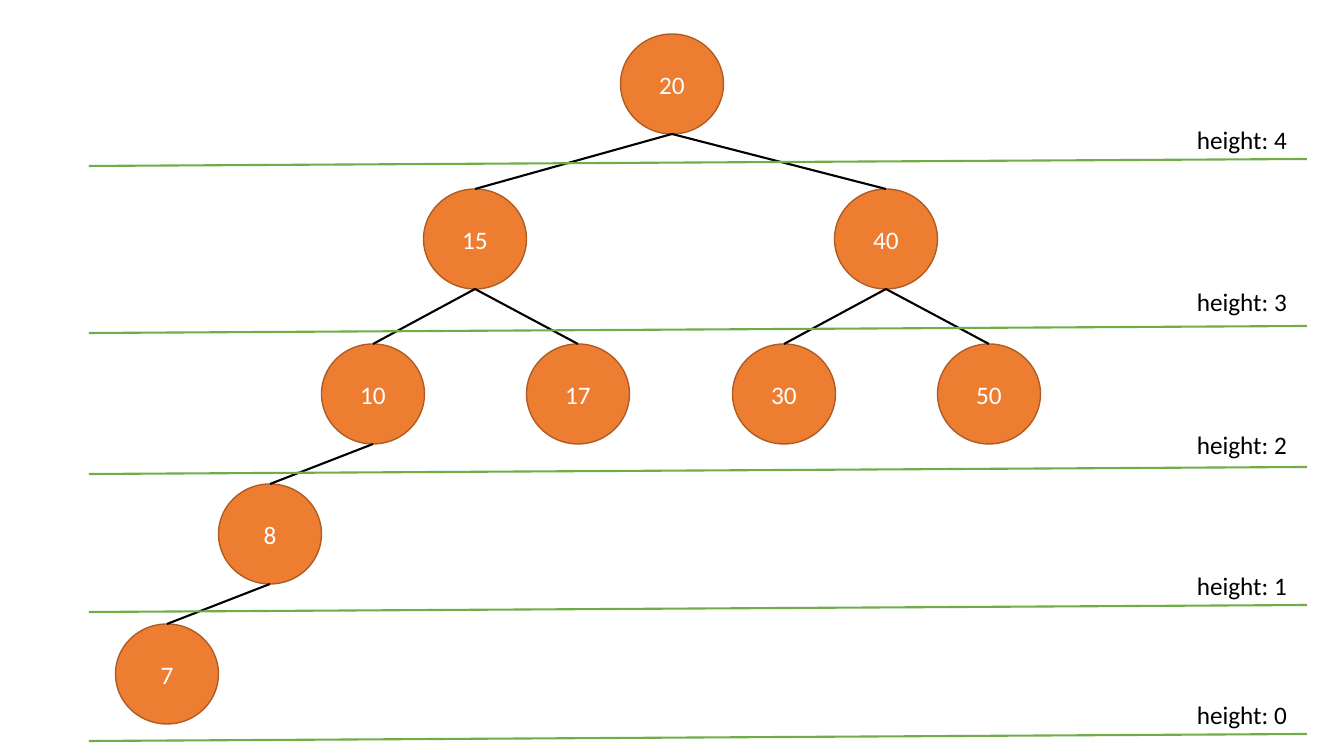
import pptx
import pptx.util
import pptx.dml.color
import pptx.enum.shapes
import pptx.enum.text
import pptx.oxml.ns
import lxml.etree

RGBColor = pptx.dml.color.RGBColor
ORANGE = RGBColor(0xED, 0x7D, 0x31)
BROWN = RGBColor(0xAF, 0x5C, 0x24)
GREEN = RGBColor(0x70, 0xAD, 0x47)
BLACK = RGBColor(0, 0, 0)
WHITE = RGBColor(0xFF, 0xFF, 0xFF)

# Tree content: key -> (centre x, depth); parent -> children
NODES = {20: (672, 0), 15: (475, 1), 40: (886, 1),
         10: (373, 2), 17: (578, 2), 30: (784, 2), 50: (989, 2),
         8: (270, 3), 7: (167, 4)}
CHILDREN = {20: (15, 40), 15: (10, 17), 40: (30, 50), 10: (8,), 8: (7,)}
# Height levels: (height, right end of the rule, top of the label)
LEVELS = [(4, 159, 119), (3, 326, 281), (2, 467, 424), (1, 605, 565), (0, 734, 694)]

# Layout in pixels
LEVEL_TOPS = (34, 189, 344, 484, 624)
NODE_WIDTH, NODE_HEIGHT = 103, 100
RULE_LEFT, RULE_RIGHT, RULE_SLOPE = 89, 1307, 7
LABEL_LEFT, LABEL_WIDTH, LABEL_HEIGHT = 1187, 120, 40


def px(pixels):
    return pptx.util.Emu(round(pixels * 914400 / 100.8))


def write(shape, text, color):
    para = shape.text_frame.paragraphs[0]
    para.text = text
    para.font.name = "Calibri"
    para.font.size = pptx.util.Pt(18)
    para.font.color.rgb = color
    return para


def add_node(key):
    center, depth = NODES[key]
    node = page.shapes.add_shape(
        pptx.enum.shapes.MSO_SHAPE.OVAL, px(center - NODE_WIDTH / 2),
        px(LEVEL_TOPS[depth]), px(NODE_WIDTH), px(NODE_HEIGHT))
    node.shadow.inherit = False
    node.fill.solid()
    node.fill.fore_color.rgb = ORANGE
    node.line.color.rgb = BROWN
    node.line.width = pptx.util.Pt(1)
    node.text_frame.vertical_anchor = pptx.enum.text.MSO_ANCHOR.MIDDLE
    para = write(node, str(key), WHITE)
    para.alignment = pptx.enum.text.PP_ALIGN.CENTER


def add_line(x1, y1, x2, y2, color):
    line = page.shapes.add_connector(
        pptx.enum.shapes.MSO_CONNECTOR.STRAIGHT, px(x1), px(y1), px(x2), px(y2))
    line.line.color.rgb = color
    line.line.width = pptx.util.Pt(1.5)
    lxml.etree.SubElement(line._element.spPr, pptx.oxml.ns.qn("a:effectLst"))


deck = pptx.Presentation()
deck.slide_width, deck.slide_height = px(1344), px(756)
page = deck.slides.add_slide(deck.slide_layouts[6])

# Tree nodes
for key in NODES:
    add_node(key)

# Edges from the foot of a parent to the top of each child
for parent, children in CHILDREN.items():
    parent_x, parent_depth = NODES[parent]
    for child in children:
        child_x, child_depth = NODES[child]
        add_line(parent_x, LEVEL_TOPS[parent_depth] + NODE_HEIGHT,
                 child_x, LEVEL_TOPS[child_depth], BLACK)

# Height rules and labels
for height, rule_y, label_top in LEVELS:
    add_line(RULE_RIGHT, rule_y, RULE_LEFT, rule_y + RULE_SLOPE, GREEN)
    box = page.shapes.add_textbox(
        px(LABEL_LEFT), px(label_top), px(LABEL_WIDTH), px(LABEL_HEIGHT))
    box.text_frame.word_wrap = True
    box.text_frame.auto_size = pptx.enum.text.MSO_AUTO_SIZE.SHAPE_TO_FIT_TEXT
    write(box, f"height: {height}", BLACK)

deck.save("out.pptx")
